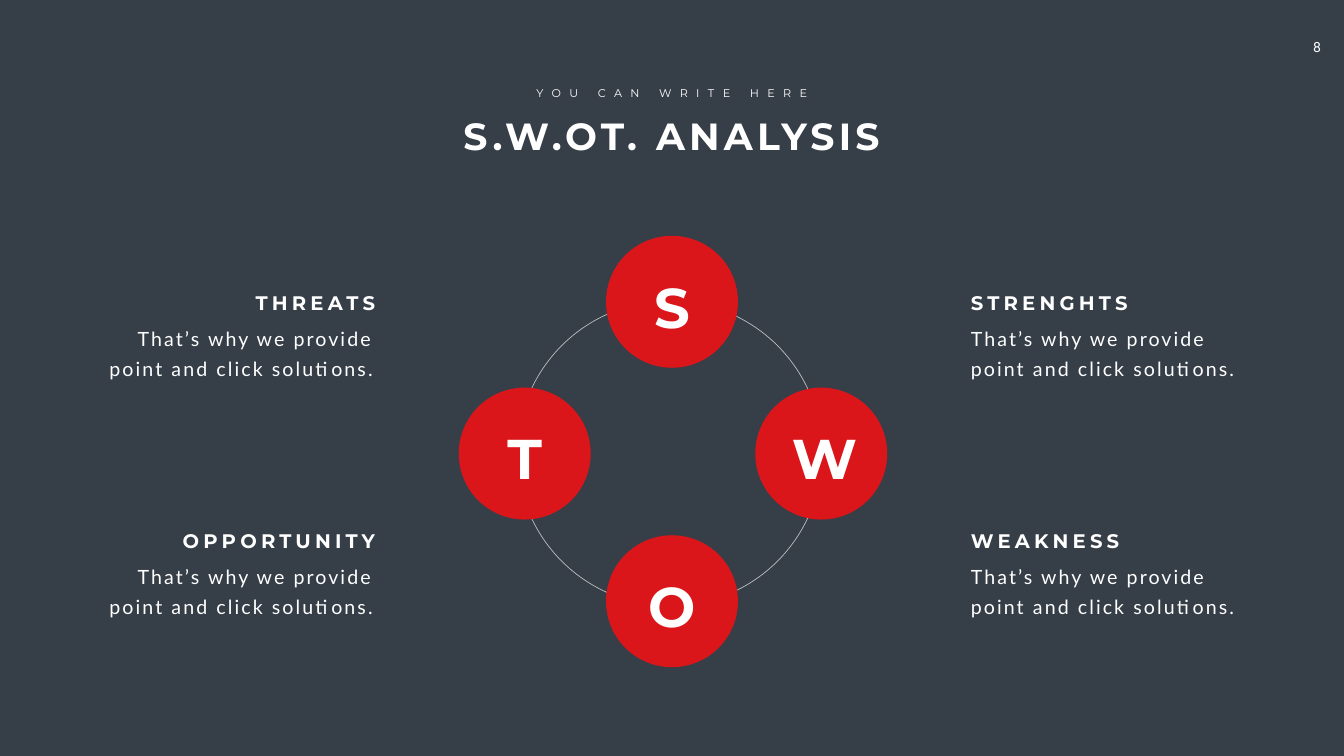
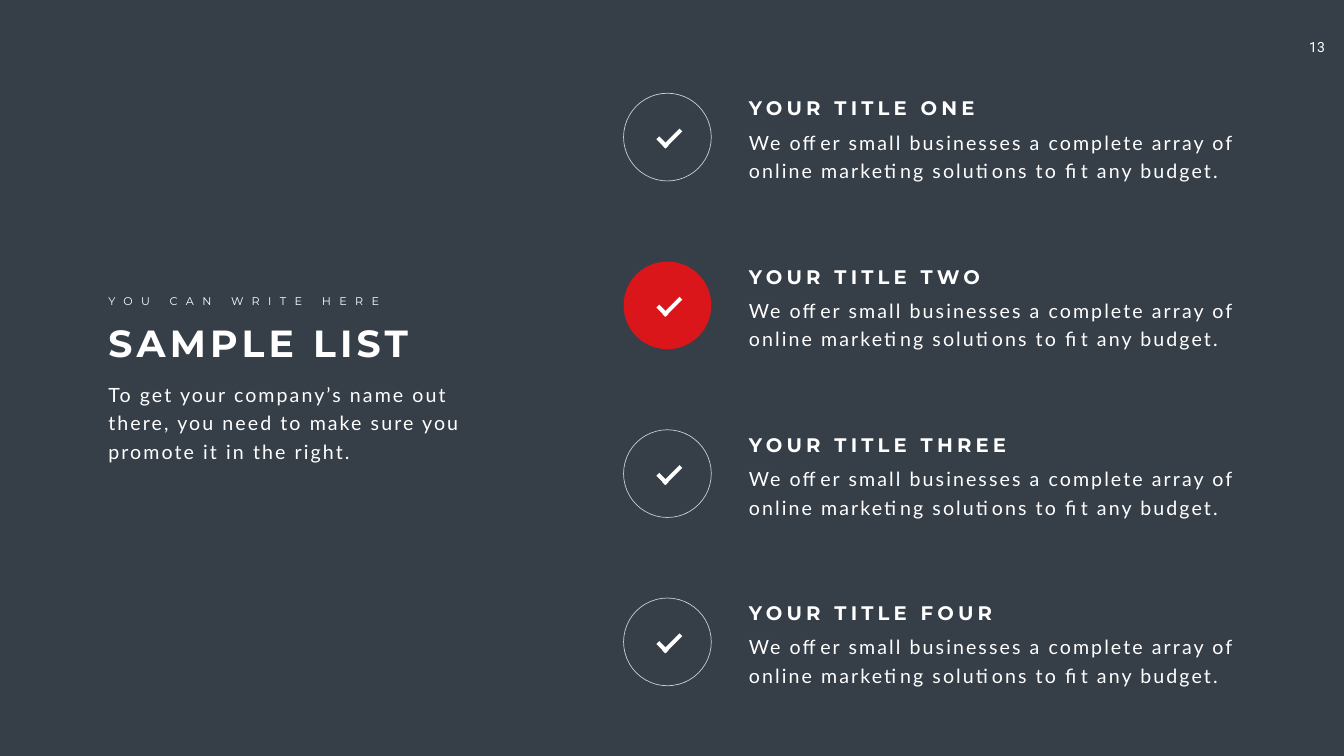
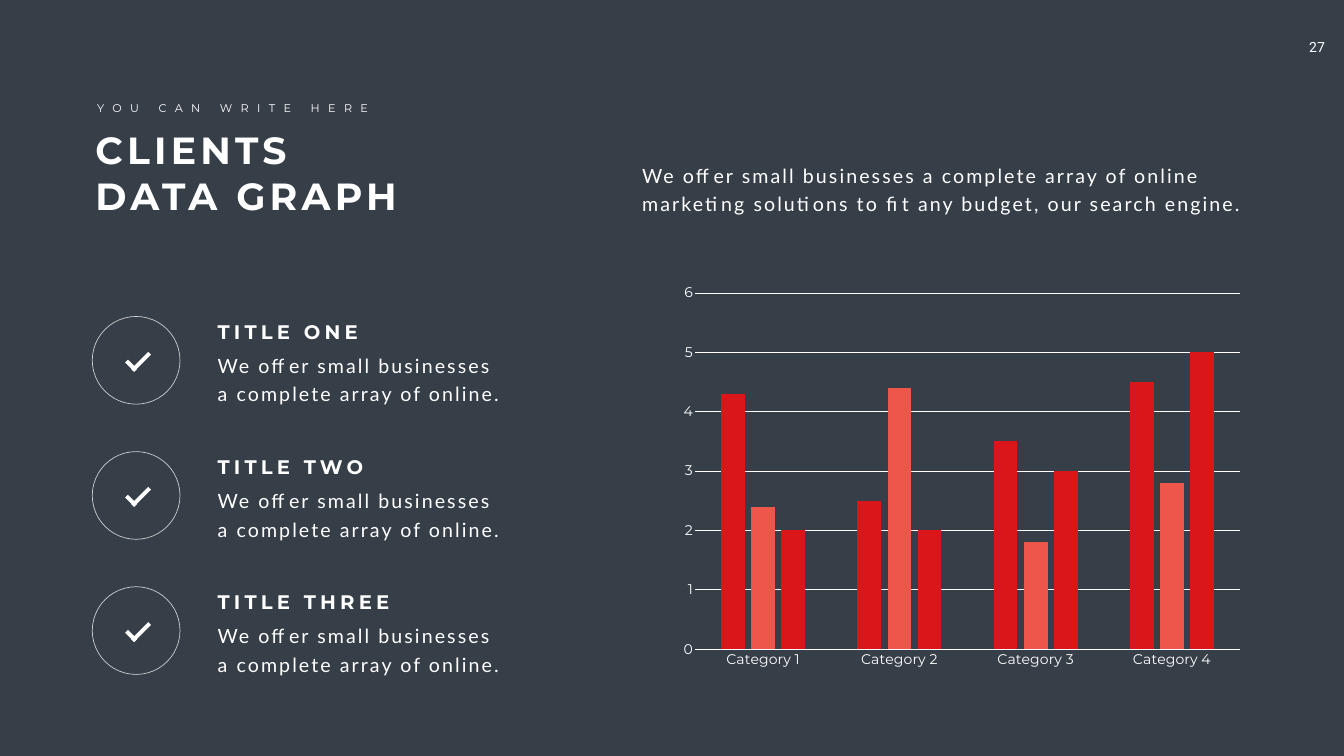
from dataclasses import dataclass

import pptx
import pptx.chart.data
import pptx.dml.color
import pptx.enum.chart
import pptx.enum.shapes
import pptx.enum.text
import pptx.util

Cm = pptx.util.Cm
Pt = pptx.util.Pt
RGBColor = pptx.dml.color.RGBColor
ALIGN = pptx.enum.text.PP_ALIGN
SHAPE = pptx.enum.shapes.MSO_SHAPE


@dataclass(frozen=True)
class TextStyle:
    font: str
    size: int
    bold: bool = False
    spacing: int = 0
    leading: float = 0


@dataclass(frozen=True)
class Theme:
    background: str = "363E48"
    text: str = "FFFFFF"
    accent: str = "DB161B"
    accent_light: str = "EE554B"
    ring: str = "BFBFBF"
    outline: str = "CFCFCF"
    title: TextStyle = TextStyle("Montserrat", 54, True, 6)
    kicker: TextStyle = TextStyle("Montserrat", 16, False, 12)
    heading: TextStyle = TextStyle("Montserrat", 28, True, 6)
    letter: TextStyle = TextStyle("Montserrat", 80, True)
    body: TextStyle = TextStyle("Lato", 28, False, 3, 40.8)
    loose_body: TextStyle = TextStyle("Lato", 28, False, 3, 43)
    page: TextStyle = TextStyle("Roboto", 20)
    chart: TextStyle = TextStyle("Montserrat", 20)


class Deck:
    def __init__(self, theme):
        self.theme = theme
        self.presentation = pptx.Presentation()
        self.presentation.slide_width = Cm(67.72)
        self.presentation.slide_height = Cm(38.1)
        self.paint(self.presentation.slide_master.background.fill, theme.background)
        self.slide = None

    @staticmethod
    def paint(fill, color):
        fill.solid()
        fill.fore_color.rgb = RGBColor.from_string(color)

    def set_font(self, font, style):
        font.name = style.font
        font.size = Pt(style.size)
        font.bold = style.bold
        font.color.rgb = RGBColor.from_string(self.theme.text)

    def fill_text(self, shape, text, style, align=ALIGN.LEFT, wrap=True):
        frame = shape.text_frame
        frame.text = text
        frame.word_wrap = wrap
        frame.auto_size = pptx.enum.text.MSO_AUTO_SIZE.SHAPE_TO_FIT_TEXT
        frame.vertical_anchor = pptx.enum.text.MSO_ANCHOR.TOP
        paragraph = frame.paragraphs[0]
        paragraph.alignment = align
        if style.leading:
            paragraph.line_spacing = Pt(style.leading)
        self.set_font(paragraph.font, style)
        if style.spacing:
            for run in paragraph.runs:
                run._r.get_or_add_rPr().set("spc", str(style.spacing * 100))
        return frame

    def text(self, text, left, top, width, height, style, align=ALIGN.LEFT, wrap=True):
        box = self.slide.shapes.add_textbox(Cm(left), Cm(top), Cm(width), Cm(height))
        return self.fill_text(box, text, style, align, wrap)

    def start_slide(self, page):
        self.slide = self.presentation.slides.add_slide(self.presentation.slide_layouts[5])
        number = self.text(str(page), 65.25, 1.7, 2.57, 1.37, self.theme.page, ALIGN.CENTER)
        number.margin_left, number.margin_right = Cm(0.51), Cm(0.85)
        number.margin_top = number.margin_bottom = Cm(0.25)

    def title(self, text, left, top, width, height, align=ALIGN.LEFT):
        title = self.slide.shapes.title
        title.left, title.top = Cm(left), Cm(top)
        title.width, title.height = Cm(width), Cm(height)
        self.fill_text(title, text, self.theme.title, align)

    def kicker(self, left, top, align=ALIGN.LEFT):
        self.text("YOU CAN WRITE HERE", left, top, 14.68, 0.94, self.theme.kicker, align, False)

    def shape(self, kind, left, top, width, height, fill=None, line=None, rotation=0):
        shape = self.slide.shapes.add_shape(kind, Cm(left), Cm(top), Cm(width), Cm(height))
        shape.shadow.inherit = False
        shape.rotation = rotation
        if fill:
            self.paint(shape.fill, fill)
        else:
            shape.fill.background()
        if line:
            shape.line.color.rgb = RGBColor.from_string(line)
            shape.line.width = Pt(1)
        else:
            shape.line.fill.background()

    def circle(self, center_x, center_y, diameter, fill=None, line=None):
        radius = diameter / 2
        self.shape(SHAPE.OVAL, center_x - radius, center_y - radius, diameter, diameter, fill, line)

    def letter_disc(self, letter, center_x, center_y):
        self.circle(center_x, center_y, 6.65, self.theme.accent)
        self.text(letter, center_x - 1.73, center_y - 1.62, 3.45, 3.23,
                  self.theme.letter, ALIGN.CENTER)

    def heading(self, text, left, top, width, align=ALIGN.LEFT):
        self.text(text, left, top, width, 1.45, self.theme.heading, align)

    def check_item(self, heading, text, left, top, heading_width, text_width, active=False):
        theme = self.theme
        fill, line = (theme.accent, None) if active else (None, theme.outline)
        self.circle(left + 2.21, top + 2.21, 4.42, fill, line)
        self.shape(SHAPE.RECTANGLE, left + 1.63, top + 2.38, 0.66, 0.2, theme.text, rotation=45)
        self.shape(SHAPE.RECTANGLE, left + 1.85, top + 2.18, 1.22, 0.2, theme.text, rotation=315)
        self.heading(heading, left + 6.07, top + 0.03, heading_width)
        self.text(text, left + 6.07, top + 1.5, text_width, 3.02, theme.body)

    def column_chart(self, categories, series, left, top, width, height):
        data = pptx.chart.data.CategoryChartData()
        data.categories = categories
        for name, values, _ in series:
            data.add_series(name, values)
        chart = self.slide.shapes.add_chart(
            pptx.enum.chart.XL_CHART_TYPE.COLUMN_CLUSTERED,
            Cm(left), Cm(top), Cm(width), Cm(height), data).chart
        chart.has_title = False
        chart.has_legend = False
        self.set_font(chart.font, self.theme.chart)
        plot = chart.plots[0]
        plot.vary_by_categories = False
        plot.gap_width, plot.overlap = 219, -27
        for columns, (_, _, color) in zip(plot.series, series):
            self.paint(columns.format.fill, color)
        scale = chart.value_axis
        scale.minimum_scale, scale.maximum_scale, scale.major_unit = 0, 6, 1
        for axis in (chart.category_axis, scale):
            axis.major_tick_mark = pptx.enum.chart.XL_TICK_MARK.NONE
            axis.minor_tick_mark = pptx.enum.chart.XL_TICK_MARK.NONE
            self.set_font(axis.tick_labels.font, self.theme.chart)
        scale.format.line.fill.background()
        for line in (chart.category_axis.format.line, scale.major_gridlines.format.line):
            line.color.rgb = RGBColor.from_string(self.theme.text)
            line.width = Pt(0.75)


def build_swot(deck):
    deck.start_slide(8)
    deck.title("S.W.OT. ANALYSIS", 22.28, 5.54, 23.14, 2.57, ALIGN.CENTER)
    deck.kicker(26.52, 4.24, ALIGN.CENTER)
    deck.circle(33.74, 22.85, 15.37, line=deck.theme.ring)
    for letter, x, y in (("S", 33.86, 15.21), ("W", 41.38, 22.86),
                         ("T", 26.44, 22.86), ("O", 33.86, 30.3)):
        deck.letter_disc(letter, x, y)
    sides = ((48.67, 48.67, ALIGN.LEFT, ("STRENGHTS", "WEAKNESS")),
             (7.95, 5.21, ALIGN.RIGHT, ("THREATS", "OPPORTUNITY")))
    for heading_left, text_left, align, headings in sides:
        for heading, top in zip(headings, (14.55, 26.54)):
            deck.heading(heading, heading_left, top, 11.2, align)
            deck.text("That’s why we provide point and click solutions.",
                      text_left, top + 1.45, 13.84, 3.17, deck.theme.loose_body, align)


def build_sample_list(deck):
    deck.start_slide(13)
    deck.title("SAMPLE LIST", 5.21, 16, 17.12, 2.57)
    deck.kicker(5.21, 14.73)
    deck.text("To get your company’s name out there, you need to make sure you "
              "promote it in the right.", 5.21, 18.9, 18.8, 4.5, deck.theme.body)
    for row, ordinal in enumerate(("ONE", "TWO", "THREE", "FOUR")):
        deck.check_item(f"YOUR TITLE {ordinal}",
                        "We offer small businesses a complete array of online "
                        "marketing solutions to fit any budget.",
                        31.42, 4.7 + row * 8.48, 16.15, 25.02, active=ordinal == "TWO")


def build_clients_graph(deck):
    deck.start_slide(27)
    deck.title("CLIENTS DATA GRAPH", 4.55, 6.27, 17.2, 4.88)
    deck.kicker(4.65, 4.98)
    for row, ordinal in enumerate(("ONE", "TWO", "THREE")):
        deck.check_item(f"TITLE {ordinal}",
                        "We offer small businesses a complete array of online.",
                        4.65, 15.95 + row * 6.81, 14.96, 14.96)
    deck.text("We offer small businesses a complete array of online marketing solutions "
              "to fit any budget, our search engine.", 32.11, 7.87, 31.06, 3.02, deck.theme.body)
    deck.column_chart(
        [f"Category {number}" for number in range(1, 5)],
        (("Series 1", (4.3, 2.5, 3.5, 4.5), deck.theme.accent),
         ("Series 2", (2.4, 4.4, 1.8, 2.8), deck.theme.accent_light),
         ("Series 3", (2, 2, 3, 5), deck.theme.accent)),
        33.86, 13.92, 29.21, 20.17)


def main():
    deck = Deck(Theme())
    build_swot(deck)
    build_sample_list(deck)
    build_clients_graph(deck)
    deck.presentation.save("out.pptx")


if __name__ == "__main__":
    main()
